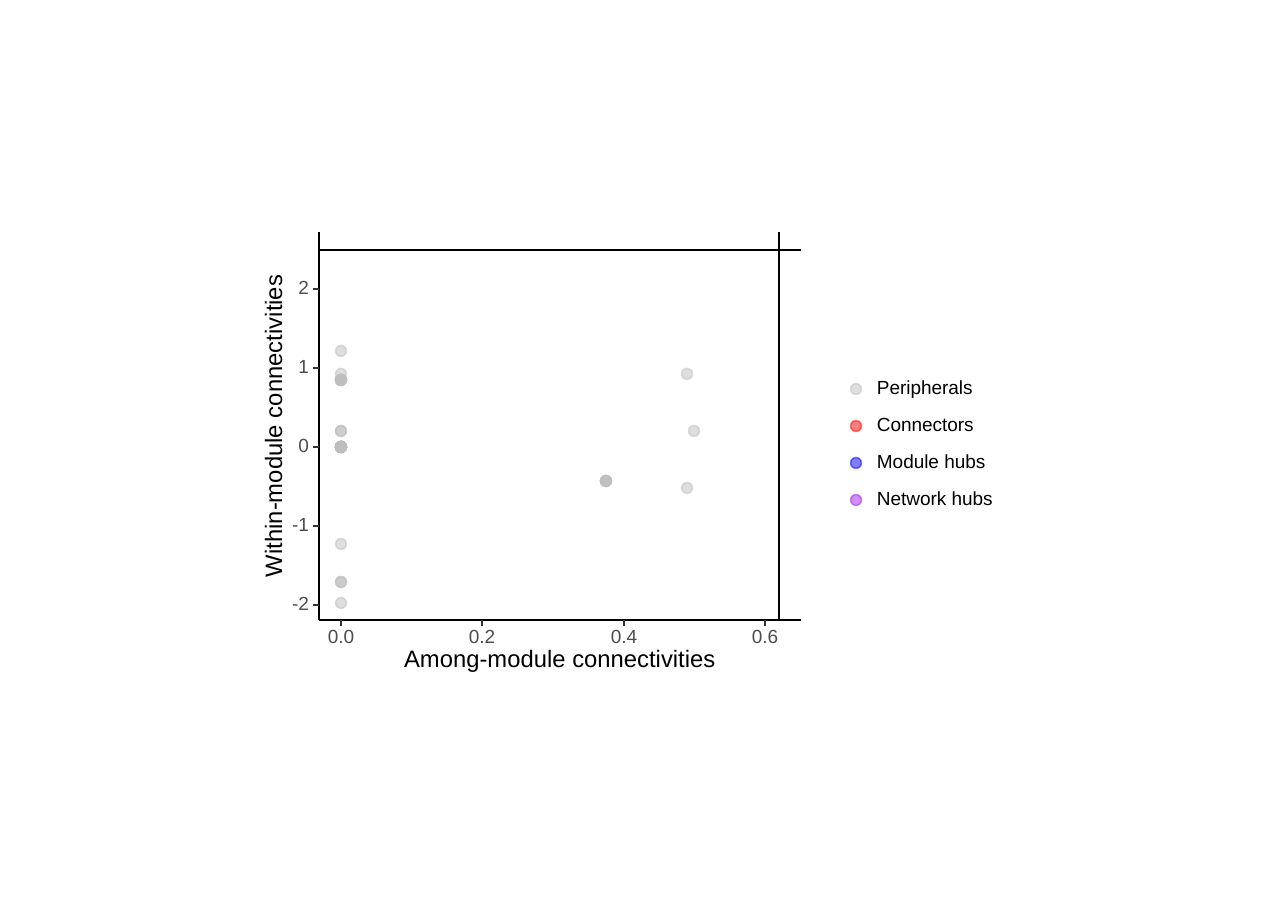
from pptx import Presentation
from pptx import util as u
from pptx.dml.color import RGBColor
from pptx.enum import shapes, text
from pptx.oxml import ns
from lxml import etree

EMU_PER_PX = 914400 / 155.7
COLORS = {
    "white": "FFFFFF", "black": "000000", "tick": "333333", "tick label": "4D4D4D",
    "Peripherals": "BEBEBE", "Connectors": "FF0000",
    "Module hubs": "0000FF", "Network hubs": "A020F0",
}
LEGEND = ["Peripherals", "Connectors", "Module hubs", "Network hubs"]
# Among-module value, within-module value, number of nodes stacked there
NODES = [
    (0, 1.22, 1), (0, 0.93, 1), (0, 0.85, 6), (0, 0.2, 2), (0, 0, 12),
    (0, -1.23, 1), (0, -1.71, 2), (0, -1.97, 1),
    (3 / 8, -0.43, 4), (0.5, 0.2, 1), (0.49, 0.93, 1), (0.49, -0.52, 1),
]
LEFT, TOP, RIGHT, BOTTOM = 319, 232, 801, 620
TICK, DOT = 6, 11
AMONG_LIMIT, WITHIN_LIMIT = 0.62, 2.5


def px(value):
    return u.Emu(round(value * EMU_PER_PX))


def x_at(value):
    return round(341 + 707 * value)


def y_at(value):
    return round(447 - 79 * value)


class PlotSlide:
    font = "Arial"
    line_width = u.Pt(1.07)

    def __init__(self, presentation):
        self.slide = presentation.slides.add_slide(presentation.slide_layouts[6])
        self.shapes = self.slide.shapes.add_group_shape().shapes

    def color(self, name):
        return RGBColor.from_string(COLORS[name])

    def filled(self, kind, left, top, width, height, color):
        shape = self.shapes.add_shape(kind, px(left), px(top), px(width), px(height))
        shape.shadow.inherit = False
        shape.fill.solid()
        shape.fill.fore_color.rgb = self.color(color)
        shape.line.color.rgb = self.color(color)
        return shape

    def panel(self, left, top, width, height):
        shape = self.filled(shapes.MSO_SHAPE.RECTANGLE, left, top, width, height, "white")
        shape.line.width = self.line_width

    def dot(self, x, y, color):
        shape = self.filled(shapes.MSO_SHAPE.OVAL, x - DOT / 2, y - DOT / 2, DOT, DOT, color)
        shape.line.width = u.Pt(0.71)
        for rgb in shape.element.spPr.iter(ns.qn("a:srgbClr")):
            etree.SubElement(rgb, ns.qn("a:alpha"), val="50000")

    def line(self, x1, y1, x2, y2, color="black"):
        line = self.shapes.add_connector(
            shapes.MSO_CONNECTOR.STRAIGHT, px(x1), px(y1), px(x2), px(y2))
        line.line.color.rgb = self.color(color)
        line.line.width = self.line_width
        etree.SubElement(line.element.spPr, ns.qn("a:effectLst"))

    def label(self, words, left, middle, width, size=8.8, color="black",
              align=text.PP_ALIGN.LEFT, rotation=0):
        height = 18
        shape = self.shapes.add_textbox(
            px(left), px(middle - height / 2), px(width), px(height))
        shape.rotation = rotation
        frame = shape.text_frame
        frame.margin_left = frame.margin_right = frame.margin_top = frame.margin_bottom = 0
        frame.word_wrap = False
        frame.vertical_anchor = text.MSO_ANCHOR.MIDDLE
        paragraph = frame.paragraphs[0]
        paragraph.text = words
        paragraph.alignment = align
        paragraph.line_spacing = u.Pt(size)
        paragraph.font.name = self.font
        paragraph.font.size = u.Pt(size)
        paragraph.font.color.rgb = self.color(color)


def main():
    presentation = Presentation()
    presentation.slide_width, presentation.slide_height = px(1288), px(908)
    plot = PlotSlide(presentation)
    center, right = text.PP_ALIGN.CENTER, text.PP_ALIGN.RIGHT

    # Background and nodes
    plot.panel(255, 220, 779, 467)
    for among, within, count in NODES:
        for _ in range(count):
            plot.dot(x_at(among), y_at(within), "Peripherals")

    # Role limits
    plot.line(x_at(AMONG_LIMIT), BOTTOM, x_at(AMONG_LIMIT), TOP)
    plot.line(LEFT, y_at(WITHIN_LIMIT), RIGHT, y_at(WITHIN_LIMIT))

    # Within-module axis
    plot.line(LEFT, BOTTOM, LEFT, TOP)
    for value in range(-2, 3):
        y = y_at(value)
        plot.line(LEFT - TICK, y, LEFT, y, "tick")
        plot.label(str(value), 291, y, 18, color="tick label", align=right)
    plot.label("Within-module connectivities", 105, 426, 340, 11, align=center, rotation=270)

    # Among-module axis
    plot.line(LEFT, BOTTOM, RIGHT, BOTTOM)
    for value in (0.0, 0.2, 0.4, 0.6):
        x = x_at(value)
        plot.line(x, BOTTOM + TICK, x, BOTTOM, "tick")
        plot.label(str(value), x - 14, 638, 28, color="tick label", align=center)
    plot.label("Among-module connectivities", 390, 660, 340, 11, align=center)

    # Legend
    plot.panel(825, 321, 196, 209)
    for row, role in enumerate(LEGEND):
        y = 389 + 37 * row
        plot.dot(856, y, role)
        plot.label(role, 877, y, 130)

    presentation.save("out.pptx")


if __name__ == "__main__":
    main()
